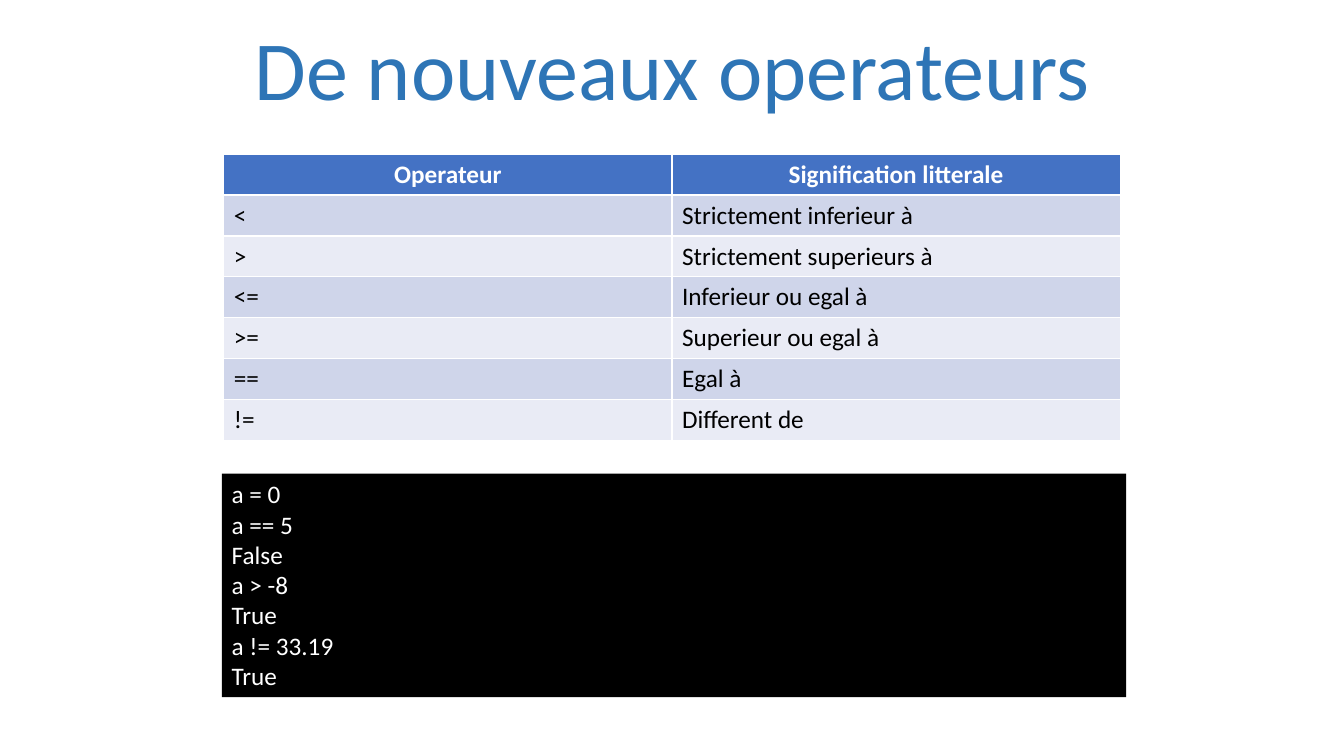
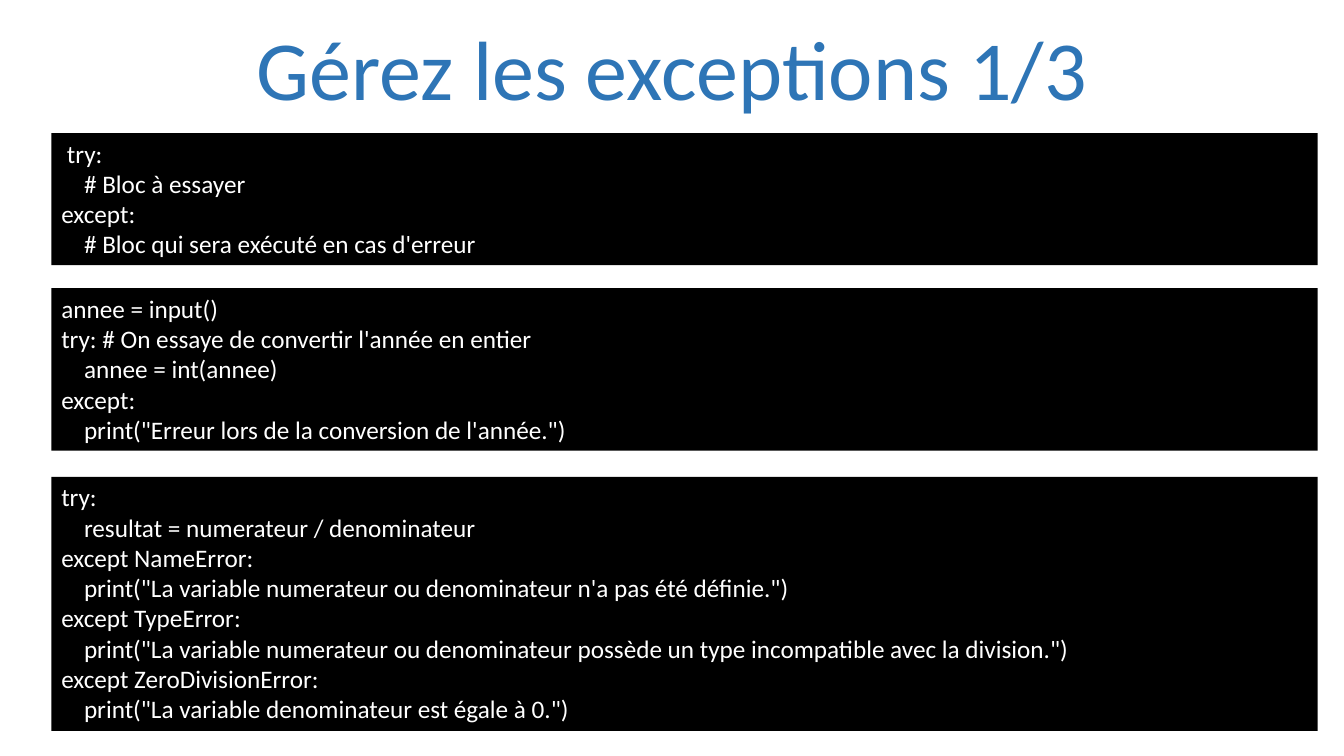
from dataclasses import dataclass
from pptx import Presentation
from pptx.dml.color import RGBColor
from pptx.enum.text import MSO_ANCHOR, MSO_AUTO_SIZE, PP_ALIGN
from pptx.util import Inches, Pt


@dataclass(frozen=True)
class Theme:
    font: str = "Calibri"
    title: str = "2E75B6"
    header: str = "4472C4"
    bands: tuple = ("CFD5EA", "E9EBF5")
    black: str = "000000"
    white: str = "FFFFFF"
    title_pt: int = 60
    body_pt: int = 18


THEME = Theme()
SLIDE_W, SLIDE_H = 13.33, 7.5
TITLE_H = 1.45
ROW_H = 2.84 / 7
LINE_H = THEME.body_pt * 1.21 / 72
CODE_MARGINS = 0.1

OPERATORS = [
    ("Operateur", "Signification litterale"),
    ("<", "Strictement inferieur à"),
    (">", "Strictement superieurs à"),
    ("<=", "Inferieur ou egal à"),
    (">=", "Superieur ou egal à"),
    ("==", "Egal à"),
    ("!=", "Different de"),
]

COMPARISONS = [
    "a = 0",
    "a == 5",
    "False",
    "a > -8",
    "True",
    "a != 33.19",
    "True",
]

EXCEPTIONS = [
    (1.32, [
        " try:",
        "    # Bloc à essayer",
        "except:",
        "    # Bloc qui sera exécuté en cas d'erreur",
    ]),
    (2.86, [
        "annee = input()",
        "try: # On essaye de convertir l'année en entier",
        "    annee = int(annee)",
        "except:",
        "    print(\"Erreur lors de la conversion de l'année.\")",
    ]),
    (4.73, [
        "try:",
        "    resultat = numerateur / denominateur",
        "except NameError:",
        "    print(\"La variable numerateur ou denominateur n'a pas été définie.\")",
        "except TypeError:",
        "    print(\"La variable numerateur ou denominateur possède un type incompatible avec la division.\")",
        "except ZeroDivisionError:",
        "    print(\"La variable denominateur est égale à 0.\")",
    ]),
]


def paint(obj, color):
    obj.fill.solid()
    obj.fill.fore_color.rgb = RGBColor.from_string(color)


def add_run(p, text, color, size=THEME.body_pt, bold=False):
    r = p.add_run()
    r.text = text
    r.font.name = THEME.font
    r.font.size = Pt(size)
    r.font.bold = bold
    r.font.color.rgb = RGBColor.from_string(color)


def add_box(s, x, y, w, h):
    sp = s.shapes.add_textbox(Inches(x), Inches(y), Inches(w), Inches(h))
    sp.text_frame.word_wrap = True
    return sp


def add_titled_slide(prs, title):
    s = prs.slides.add_slide(prs.slide_layouts[6])
    tf = add_box(s, 0, 0, SLIDE_W, TITLE_H).text_frame
    tf.vertical_anchor = MSO_ANCHOR.MIDDLE
    p = tf.paragraphs[0]
    p.alignment = PP_ALIGN.CENTER
    p.line_spacing = 0.9
    add_run(p, title, THEME.title, THEME.title_pt)
    return s


def add_code(s, x, y, w, lines):
    sp = add_box(s, x, y, w, CODE_MARGINS + LINE_H * len(lines))
    paint(sp, THEME.black)
    tf = sp.text_frame
    tf.auto_size = MSO_AUTO_SIZE.SHAPE_TO_FIT_TEXT
    for i, line in enumerate(lines):
        p = tf.add_paragraph() if i else tf.paragraphs[0]
        add_run(p, line, THEME.white)


def add_grid(s, x, y, w, rows):
    table = s.shapes.add_table(len(rows), len(rows[0]), Inches(x), Inches(y),
                               Inches(w), Inches(ROW_H * len(rows))).table
    for i, row in enumerate(rows):
        head = i == 0
        for j, text in enumerate(row):
            cell = table.cell(i, j)
            paint(cell, THEME.header if head else THEME.bands[(i - 1) % 2])
            p = cell.text_frame.paragraphs[0]
            p.alignment = PP_ALIGN.CENTER if head else PP_ALIGN.LEFT
            add_run(p, text, THEME.white if head else THEME.black, bold=head)


def main():
    prs = Presentation()
    prs.slide_width, prs.slide_height = Inches(SLIDE_W), Inches(SLIDE_H)

    s = add_titled_slide(prs, "De nouveaux operateurs")
    add_grid(s, 2.22, 1.53, 8.89, OPERATORS)
    add_code(s, 2.2, 4.7, 8.97, COMPARISONS)

    s = add_titled_slide(prs, "Gérez les exceptions 1/3")
    for y, lines in EXCEPTIONS:
        add_code(s, 0.51, y, 12.56, lines)

    prs.save("out.pptx")


if __name__ == "__main__":
    main()
